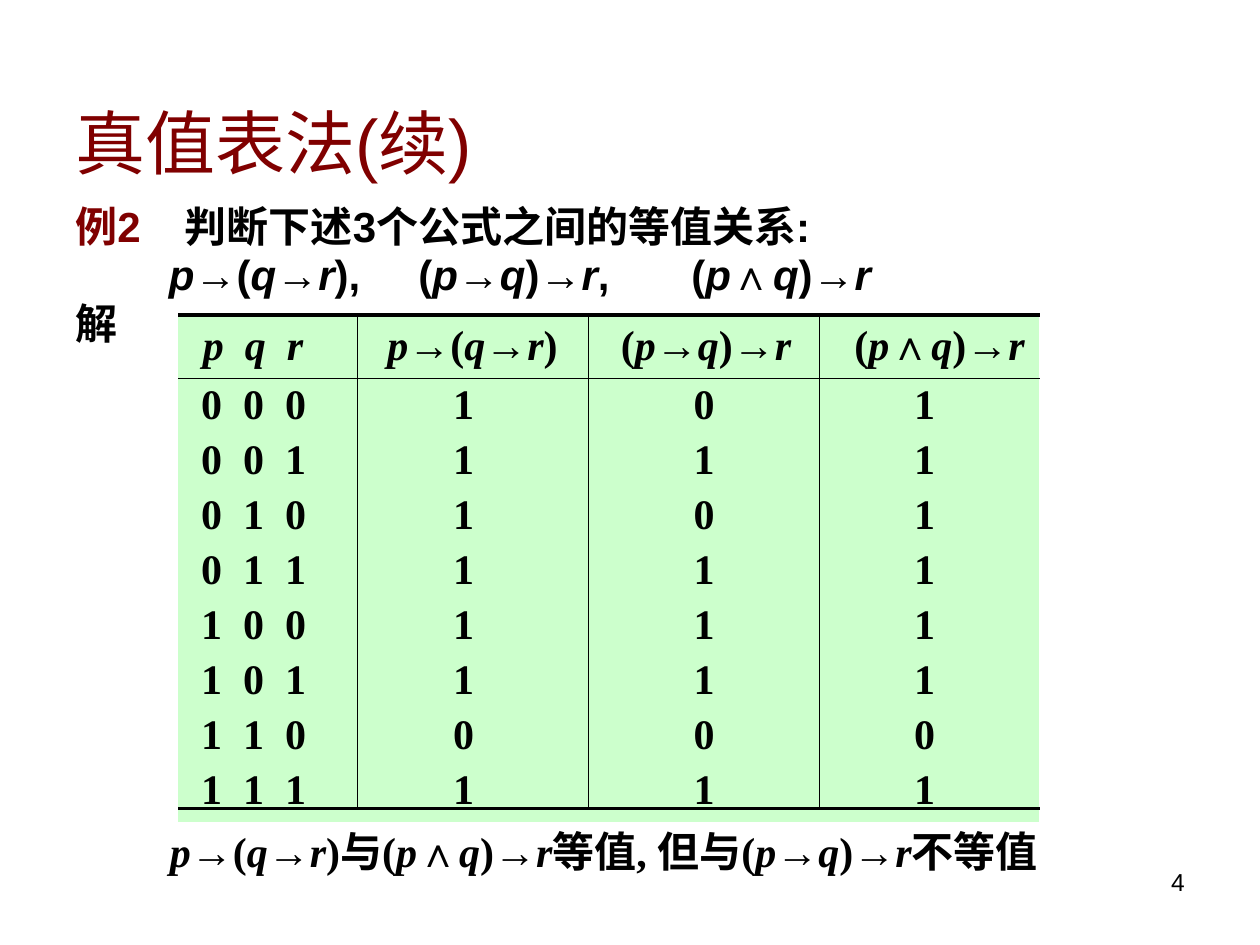
from dataclasses import dataclass
from itertools import groupby, product

from lxml.etree import SubElement
from pptx import Presentation
from pptx.dml.color import RGBColor
from pptx.enum.shapes import MSO_CONNECTOR
from pptx.enum.text import MSO_ANCHOR, MSO_AUTO_SIZE, PP_ALIGN
from pptx.oxml.ns import qn
from pptx.util import Pt


@dataclass(frozen=True)
class Theme:
    ink: str = "000000"
    accent: str = "800000"
    table: str = "CCFFCC"
    sans: str = "Arial"
    serif: str = "Times New Roman"
    title: int = 40
    body: int = 24
    number: int = 14
    thin: float = 0.5
    thick: float = 2.25


THEME = Theme()
NO_GRID_STYLE = "{2D5ABB26-0587-4C30-8999-92F81FD0307C}"
VARIABLES = "pqr"
SYMBOLS = "→∧"

FORMULAS = {
    "p→(q→r)": lambda p, q, r: not p or not q or r,
    "(p→q)→r": lambda p, q, r: (p and not q) or r,
    "(p∧q)→r": lambda p, q, r: not (p and q) or r,
}


def add_text(p, text, font=THEME.sans, size=THEME.body, color=THEME.ink,
             bold=True, italic=False):
    r = p.add_run()
    r.text = text
    f = r.font
    f.name, f.size, f.bold, f.italic = font, Pt(size), bold, italic
    f.color.rgb = RGBColor.from_string(color)


def add_formula(p, text, font=THEME.serif):
    """Set variables in italics and logic symbols in the sans font."""
    def kind(ch):
        return ch in VARIABLES, ch in SYMBOLS

    for (variable, symbol), chars in groupby(text, kind):
        add_text(p, "".join(chars), font=THEME.sans if symbol else font,
                 italic=variable)


def set_tabs(p, stops):
    tabs = SubElement(p._p.get_or_add_pPr(), qn("a:tabLst"))
    for stop in stops:
        SubElement(tabs, qn("a:tab"), pos=str(Pt(stop)), algn="l")


class Deck:
    def __init__(self, width, height):
        self.prs = Presentation()
        self.prs.slide_width, self.prs.slide_height = Pt(width), Pt(height)
        self.s = None

    def add_slide(self):
        self.s = self.prs.slides.add_slide(self.prs.slide_layouts[5])

    def title(self, text, x, y, w, h):
        sp = self.s.shapes.title
        sp.left, sp.top, sp.width, sp.height = map(Pt, (x, y, w, h))
        tf = sp.text_frame
        tf.auto_size = MSO_AUTO_SIZE.NONE
        tf.vertical_anchor = MSO_ANCHOR.MIDDLE
        p = tf.paragraphs[0]
        p.alignment = PP_ALIGN.LEFT
        add_text(p, text, size=THEME.title, color=THEME.accent, bold=False)

    def text_box(self, x, y, w, h):
        tf = self.s.shapes.add_textbox(*map(Pt, (x, y, w, h))).text_frame
        tf.word_wrap = True
        return tf

    def line(self, x1, y1, x2, y2, width=THEME.thin):
        sp = self.s.shapes.add_connector(
            MSO_CONNECTOR.STRAIGHT, *map(Pt, (x1, y1, x2, y2)))
        sp.line.width = Pt(width)
        sp.line.color.rgb = RGBColor.from_string(THEME.ink)
        SubElement(sp._element.spPr, qn("a:effectLst"))

    def table(self, x, y, widths, heights, rows, head_margins, body_margins):
        """Margins are (left, right) per column; variable columns align left."""
        shape = self.s.shapes.add_table(
            len(rows), len(widths), Pt(x), Pt(y), Pt(sum(widths)), Pt(sum(heights)))
        tbl = shape.table
        tbl.first_row = tbl.horz_banding = False
        tbl._tbl.tblPr.find(qn("a:tableStyleId")).text = NO_GRID_STYLE
        for col, width in zip(tbl.columns, widths):
            col.width = Pt(width)
        for row, height in zip(tbl.rows, heights):
            row.height = Pt(height)
        for i, row in enumerate(rows):
            margins = body_margins if i else head_margins
            for j, (text, (left, right)) in enumerate(zip(row, margins)):
                cell = tbl.cell(i, j)
                cell.fill.solid()
                cell.fill.fore_color.rgb = RGBColor.from_string(THEME.table)
                cell.vertical_anchor = MSO_ANCHOR.TOP if i else MSO_ANCHOR.MIDDLE
                cell.margin_top = Pt(2.6 if i else 0)
                cell.margin_bottom = 0
                cell.margin_left, cell.margin_right = Pt(left), Pt(right)
                p = cell.text_frame.paragraphs[0]
                p.alignment = PP_ALIGN.LEFT if j < len(VARIABLES) else PP_ALIGN.CENTER
                add_formula(p, text)


def truth_table():
    rows = [[*VARIABLES, *FORMULAS]]
    for values in product((0, 1), repeat=len(VARIABLES)):
        results = [int(formula(*values)) for formula in FORMULAS.values()]
        rows.append([str(v) for v in (*values, *results)])
    return rows


def draw_truth_table(deck):
    left, top, head, bottom = 102, 180, 216, 462
    widths = [31, 24, 47, 132, 132, 126]
    right = left + sum(widths)
    rows = truth_table()
    pitch = 30.3
    body = [pitch] * (len(rows) - 2)
    heights = [head - top, *body, bottom - head - sum(body)]
    deck.table(left, top, widths, heights, rows,
               head_margins=[(14, 0), (7, 0), (7, 0), (0, 0), (3, 0), (12, 0)],
               body_margins=[(13, 0), (6, 0), (6, 0), (0, 10), (1, 0), (0, 5)])

    deck.line(left, head, right, head)
    for y in (top, bottom):
        deck.line(left, y, right, y, width=THEME.thick)
    for j in range(len(VARIABLES), len(widths)):
        x = left + sum(widths[:j])
        deck.line(x, top, x, bottom)


def main():
    deck = Deck(720, 540)
    deck.add_slide()
    deck.title("真值表法(续)", 36, 48, 612, 66)

    tf = deck.text_box(36, 114, 612, 96)
    question, formulas, answer = tf.paragraphs[0], tf.add_paragraph(), tf.add_paragraph()
    for p in (question, formulas, answer):
        p.line_spacing = 0.9
    for p in (formulas, answer):
        p.space_before = Pt(1.8)
    set_tabs(question, [62.5])
    add_text(question, "例2\t", color=THEME.accent)
    add_text(question, "判断下述3个公式之间的等值关系:")
    set_tabs(formulas, [53.5, 196, 352])
    add_formula(formulas, "\t" + ",\t".join(FORMULAS), font=THEME.sans)
    add_text(answer, "解")

    draw_truth_table(deck)

    conclusion = deck.text_box(90, 468, 546, 36).paragraphs[0]
    add_formula(conclusion, "p→(q→r)与(p∧q)→r等值, 但与(p→q)→r不等值")

    number = deck.text_box(516, 492, 168, 37.5).paragraphs[0]
    number.alignment = PP_ALIGN.RIGHT
    add_text(number, "4", size=THEME.number, bold=False)

    deck.prs.save("out.pptx")


if __name__ == "__main__":
    main()
